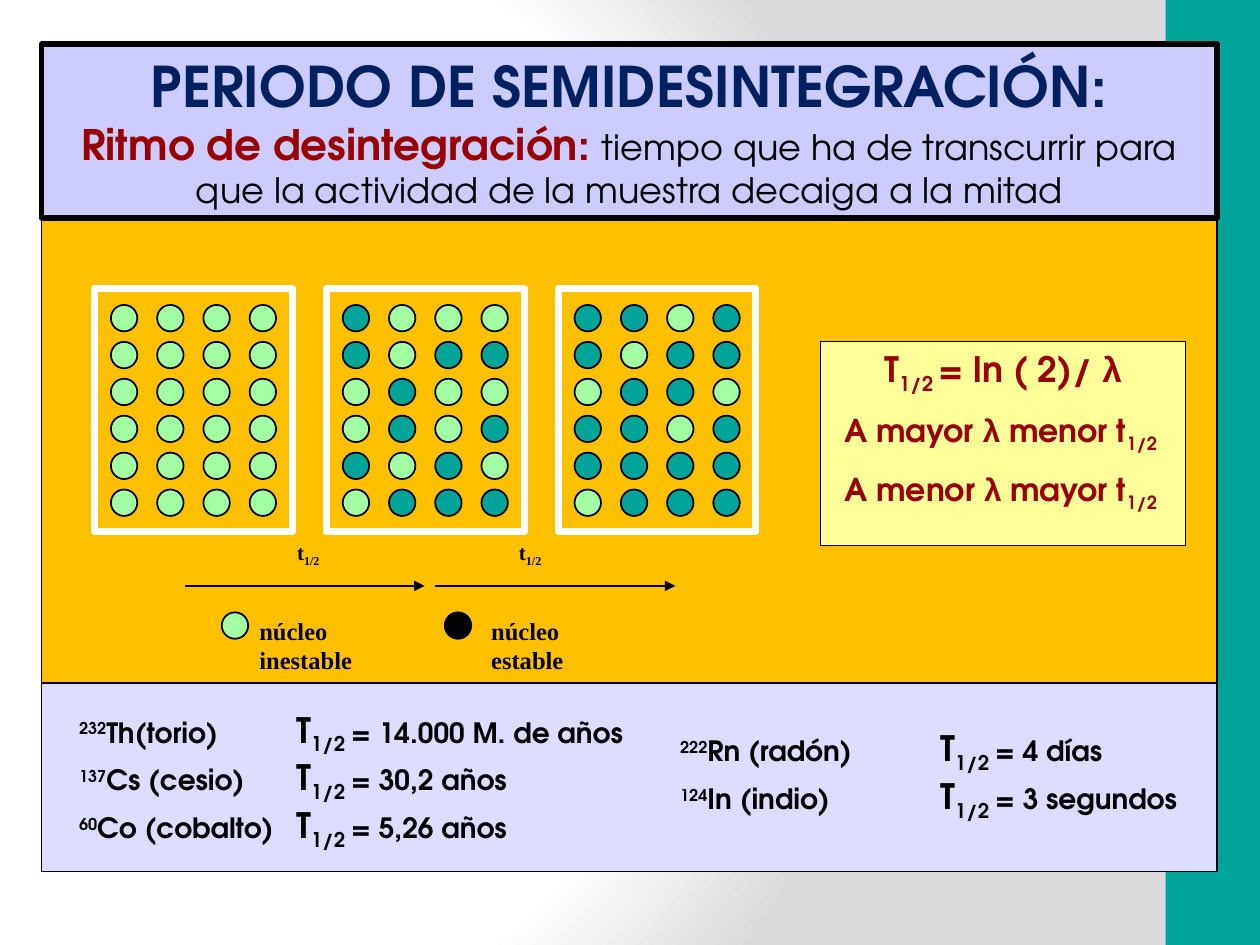
from lxml import etree
from pptx import Presentation
from pptx.dml.color import RGBColor
from pptx.enum import shapes, text
from pptx.oxml import parse_xml
from pptx.oxml.ns import nsdecls, qn
from pptx.util import Inches, Pt

BLACK = RGBColor(0, 0, 0)
WHITE = RGBColor(255, 255, 255)
TEAL = RGBColor(0x00, 0xA4, 0x99)
GREEN = RGBColor(0xA2, 0xFF, 0xA3)
AMBER = RGBColor(0xFF, 0xC0, 0x00)
LAVENDER = RGBColor(0xCC, 0xCC, 0xFF)
PALE_LAVENDER = RGBColor(0xDD, 0xDD, 0xFF)
YELLOW = RGBColor(0xFF, 0xFF, 0x99)
NAVY = RGBColor(0x00, 0x20, 0x60)
RED = RGBColor(0x99, 0x00, 0x00)
SANS, SERIF, GREEK = "TeX Gyre Adventor", "Times New Roman", "Arial"
SUB, SUPER = -25, 30
RECT, OVAL = shapes.MSO_SHAPE.RECTANGLE, shapes.MSO_SHAPE.OVAL
CENTER = text.PP_ALIGN.CENTER

# Content: a run is (text, size, options)
TITLE = [
    [("PERIODO DE SEMIDESINTEGRACIÓN:", 32, {"color": NAVY})],
    [("Ritmo de desintegración: ", 24, {"color": RED}),
     ("tiempo que ha de transcurrir para que la actividad de la muestra "
      "decaiga a la mitad", 20, {"bold": False})],
]
# One string per row: 1 marks a stable nucleus
SAMPLES = [
    ["0000", "0000", "0000", "0000", "0000", "0000"],
    ["1000", "1011", "0100", "0101", "1010", "0111"],
    ["1101", "1011", "0110", "1101", "1111", "0111"],
]
ARROWS = [(1.47, 3.37), (3.45, 5.36)]
TIME_LABELS = [2.26, 4.02]
LEGEND = [("núcleo inestable", GREEN, 1.76, 1.96, 1.52),
          ("núcleo estable", BLACK, 3.53, 3.8, 1.36)]
# Box, tab stop, then mass number, element and half-life
ISOTOPES = [
    ((0.53, 5.57, 4.97, 1.11), 1.66,
     [("232", "Th(torio)", "14.000 M. de años"),
      ("137", "Cs (cesio)", "30,2 años"),
      ("60", "Co (cobalto)", "5,26 años")]),
    ((5.3, 5.72, 4.22, 1.38), 2,
     [("222", "Rn (radón)", "4 días"),
      ("124", "In (indio)", "3 segundos")]),
]
COMPARISONS = [("A mayor ", "menor t"), ("A menor ", "mayor t")]


def add_span(para, words, size, color=BLACK, font=SANS, bold=True, base=0):
    span = para.add_run()
    span.text = words
    span.font.size, span.font.name, span.font.bold = Pt(size), font, bold
    span.font.color.rgb = color
    if base:
        span.font._element.set("baseline", str(base * 1000))


def write(frame, paragraphs, align=None, gap=0, tab=None):
    frame.word_wrap = True
    for index, spans in enumerate(paragraphs):
        para = frame.add_paragraph() if index else frame.paragraphs[0]
        para.alignment = align
        para.space_before = Pt(gap if index else 0)
        if tab:
            stops = etree.SubElement(para._p.get_or_add_pPr(), qn("a:tabLst"))
            etree.SubElement(stops, qn("a:tab"), pos=str(Inches(tab)), algn="l")
        for words, size, options in spans:
            add_span(para, words, size, **options)


def paint(shape, fill, line, width):
    if fill is None:
        shape.fill.background()
    else:
        shape.fill.solid()
        shape.fill.fore_color.rgb = fill
    if line is None:
        shape.line.fill.background()
    else:
        shape.line.color.rgb = line
        shape.line.width = Pt(width)


def add_figure(parent, kind, place, fill, line=BLACK, width=0.75):
    shape = parent.shapes.add_shape(kind, *map(Inches, place))
    shape.shadow.inherit = False
    paint(shape, fill, line, width)
    return shape


def add_nucleus(parent, x, y, fill):
    add_figure(parent, OVAL, (x, y, 0.21, 0.21), fill, width=1)


def add_label(parent, place, paragraphs, **options):
    box = parent.shapes.add_textbox(*map(Inches, place))
    write(box.text_frame, paragraphs, **options)
    return box


def add_arrow(parent, start, end, y):
    arrow = parent.shapes.add_connector(
        shapes.MSO_CONNECTOR.STRAIGHT, *map(Inches, (start, y, end, y)))
    arrow.line.color.rgb = BLACK
    arrow.line.width = Pt(1)
    etree.SubElement(arrow.line._get_or_add_ln(), qn("a:tailEnd"), type="triangle")
    etree.SubElement(arrow.element.spPr, qn("a:effectLst"))


def set_background(page):
    page.background.fill.solid()
    properties = page.element.cSld.bg.bgPr
    stops = "".join(f'<a:gs pos="{pos}000"><a:srgbClr val="{color}"/></a:gs>'
                    for pos, color in [(0, "FFFFFF"), (75, "FFFFFF"), (100, "DADADA")])
    gradient = parse_xml(
        f'<a:gradFill rotWithShape="1" {nsdecls("a")}><a:gsLst>{stops}</a:gsLst>'
        '<a:path path="circle"><a:fillToRect l="20000" t="50000" r="100000" '
        'b="50000"/></a:path></a:gradFill>')
    properties.replace(properties[0], gradient)


def main():
    deck = Presentation()
    deck.slide_width, deck.slide_height = Inches(10), Inches(7.5)
    page = deck.slides.add_slide(deck.slide_layouts[5])
    set_background(page)

    # Side band and panels
    add_figure(page, RECT, (9.25, 0, 0.75, 7.5), TEAL, None)
    add_figure(page, RECT, (0.33, 1.75, 9.33, 3.67), AMBER)
    add_figure(page, RECT, (0.33, 5.42, 9.33, 1.5), PALE_LAVENDER)

    # Title, brought in front of the band
    title = page.shapes.title
    title.left, title.top, title.width, title.height = map(
        Inches, (0.33, 0.35, 9.33, 1.38))
    paint(title, LAVENDER, BLACK, 3)
    title.text_frame.vertical_anchor = text.MSO_ANCHOR.MIDDLE
    title.text_frame.auto_size = text.MSO_AUTO_SIZE.NONE
    write(title.text_frame, TITLE, align=CENTER)
    title.element.getparent().append(title.element)

    # Samples after each half-life
    diagram = page.shapes.add_group_shape()
    for index, sample in enumerate(SAMPLES):
        left, top = 0.75 + 1.84 * index, 2.29
        add_figure(diagram, RECT, (left, top, 1.57, 1.93), None, WHITE, 4)
        for row, states in enumerate(sample):
            for column, state in enumerate(states):
                add_nucleus(diagram, left + 0.13 + 0.367 * column,
                            top + 0.13 + 0.293 * row,
                            TEAL if state == "1" else GREEN)

    # Time arrows and legend
    for start, end in ARROWS:
        add_arrow(diagram, start, end, 4.65)
    for left in TIME_LABELS:
        label = add_label(diagram, (left, 4.23, 0.4, 0.3),
                          [[("t", 12, {"font": SERIF}),
                            ("1/2", 12, {"font": SERIF, "base": SUB})]])
        label.text_frame.word_wrap = False
    for words, color, dot_left, left, width in LEGEND:
        add_nucleus(diagram, dot_left, 4.86, color)
        label = add_label(diagram, (left, 4.84, width, 0.33),
                          [[(words, 14, {"font": SERIF})]])
        label.text_frame.margin_right = Inches(0.5)

    # Half-lives of isotopes
    for place, tab, rows in ISOTOPES:
        add_label(page, place, [
            [(mass, 16, {"base": SUPER}), (name + "\t ", 16, {}), ("T", 20, {}),
             ("1/2 ", 20, {"base": SUB}), ("= " + life, 16, {})]
            for mass, name, life in rows], tab=tab)

    # Formula
    red, greek = {"color": RED}, {"color": RED, "font": GREEK}
    low = {"color": RED, "base": SUB}
    formula = [[("T", 20, red), ("1/2 ", 20, low), ("= ln ( 2)/ ", 20, red),
                ("λ", 20, greek)]]
    formula += [[(cause, 18, red), ("λ ", 18, greek), (effect, 18, red),
                 ("1/2", 18, low), (" ", 16, low)] for cause, effect in COMPARISONS]
    card = add_figure(page, RECT, (6.51, 2.71, 2.9, 1.62), YELLOW)
    card.text_frame.vertical_anchor = text.MSO_ANCHOR.TOP
    write(card.text_frame, formula, align=CENTER, gap=9)

    deck.save("out.pptx")


if __name__ == "__main__":
    main()
